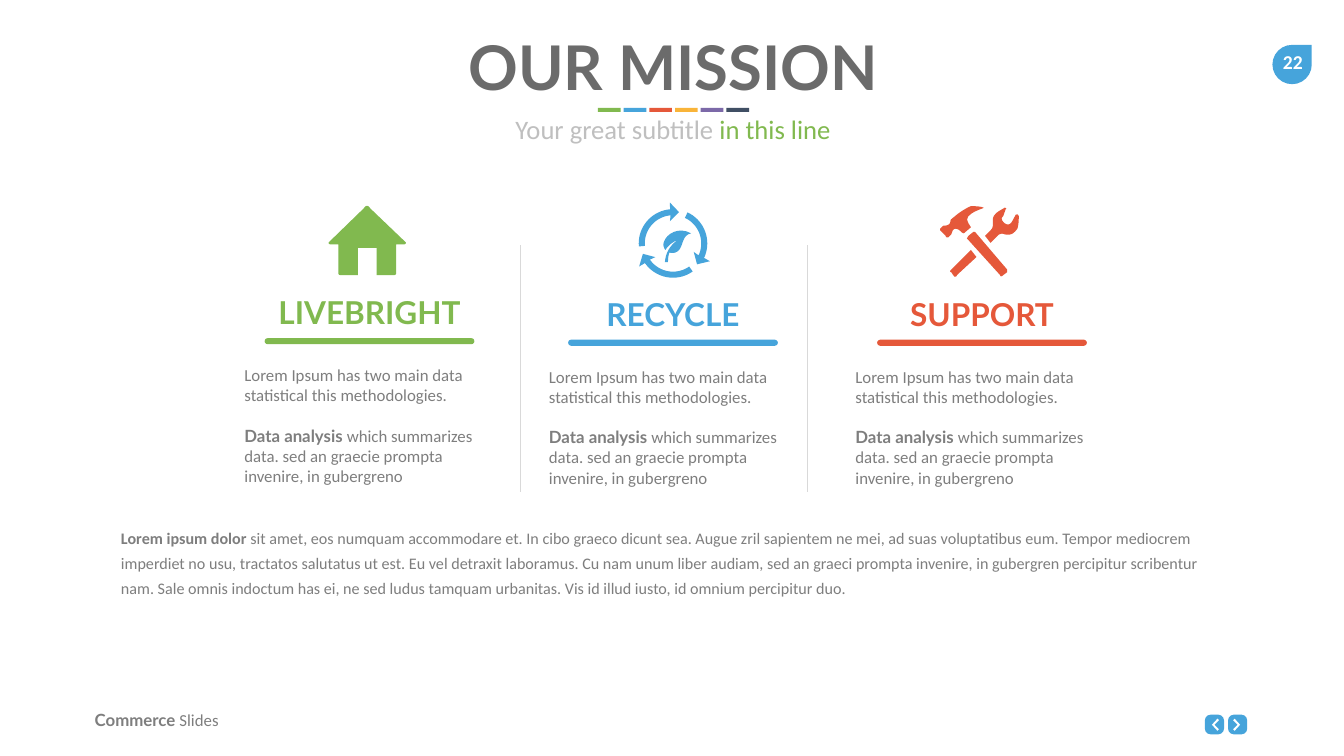
import math
from dataclasses import dataclass

from lxml import etree
from pptx import Presentation
from pptx.dml.color import RGBColor
from pptx.enum import dml, shapes, text
from pptx.oxml import ns
from pptx.util import Inches, Pt


@dataclass(frozen=True)
class Theme:
    green: str = "81B94F"
    blue: str = "46A4DB"
    red: str = "E5583A"
    yellow: str = "F9B439"
    purple: str = "7C69A8"
    navy: str = "404F64"
    white: str = "FFFFFF"
    dark: str = "6B6B6B"
    gray: str = "7E7E7E"
    pale: str = "BFBFBF"
    rule: str = "D9D9D9"
    head: str = "Lato"
    body: str = "Calibri"
    title: int = 88
    topic: int = 45
    sub: int = 38
    page: int = 28
    copy: int = 24
    note: int = 23


T = Theme()
KIND = shapes.MSO_SHAPE
MID = text.PP_ALIGN.CENTER

# An outline is a list of points (x, y) and cubic curves (x1, y1, x2, y2, x, y).
HOUSE = [[(6.53, 4.8), (7.22, 4.13), (7.25, 4.07, 7.31, 4.07, 7.34, 4.13),
          (8.04, 4.8), (8.07, 4.82, 8.04, 4.85, 8.01, 4.85), (7.86, 4.85),
          (7.86, 5.4), (7.86, 5.43, 7.86, 5.46, 7.8, 5.46), (7.47, 5.46),
          (7.47, 4.92), (7.1, 4.92), (7.1, 5.46), (6.77, 5.46),
          (6.71, 5.46, 6.71, 5.43, 6.71, 5.4), (6.71, 4.85), (6.56, 4.85),
          (6.53, 4.85, 6.5, 4.82, 6.53, 4.8)]]
LEAF = [(13.17, 4.8), (13.15, 4.85, 13.16, 4.91, 13.2, 4.96),
        (13.25, 4.87, 13.36, 4.79, 13.43, 4.77),
        (13.28, 4.88, 13.2, 5.03, 13.19, 5.2), (13.25, 5.2),
        (13.25, 5.13, 13.26, 5.05, 13.28, 5.01),
        (13.34, 5.03, 13.4, 5.02, 13.45, 4.98),
        (13.56, 4.89, 13.52, 4.66, 13.71, 4.63),
        (13.46, 4.49, 13.22, 4.64, 13.17, 4.8)]
HAMMER = [(18.9, 4.57), (18.95, 4.51, 19.01, 4.54, 19.09, 4.62), (19.12, 4.63),
          (19.26, 4.51), (19.21, 4.43), (19.06, 4.23, 19.59, 4.12, 19.51, 4.12),
          (19.45, 4.09, 19.29, 4.09, 19.26, 4.09),
          (19.18, 4.12, 19.04, 4.21, 18.98, 4.26), (18.87, 4.35),
          (18.84, 4.37, 18.87, 4.43, 18.81, 4.46),
          (18.76, 4.49, 18.73, 4.46, 18.7, 4.49), (18.65, 4.54), (18.65, 4.57),
          (18.76, 4.68), (18.76, 4.71, 18.78, 4.71, 18.81, 4.71),
          (18.87, 4.65), (18.9, 4.57)]
SHAFT = [(19.31, 4.6), (19.21, 4.68), (19.18, 4.73), (19.84, 5.46),
         (19.84, 5.49, 19.87, 5.49, 19.9, 5.46), (19.98, 5.4), (19.98, 5.35),
         (19.34, 4.6)]
WRENCH = [(20.21, 4.29), (20.18, 4.23, 20.18, 4.26, 20.15, 4.26), (20.09, 4.37),
          (20.06, 4.43, 20.01, 4.49, 19.93, 4.43),
          (19.84, 4.35, 19.87, 4.32, 19.9, 4.29), (19.95, 4.15),
          (19.98, 4.15, 19.95, 4.12, 19.93, 4.12),
          (19.9, 4.15, 19.73, 4.21, 19.7, 4.32),
          (19.68, 4.4, 19.73, 4.49, 19.65, 4.57), (19.54, 4.68), (19.65, 4.82),
          (19.79, 4.68), (19.81, 4.65, 19.87, 4.62, 19.93, 4.65),
          (20.06, 4.68, 20.12, 4.62, 20.18, 4.54),
          (20.21, 4.46, 20.21, 4.32, 20.21, 4.29)]
GRIP = [(18.87, 5.35), (18.84, 5.37, 18.84, 5.4, 18.87, 5.4), (18.93, 5.49),
        (18.95, 5.49, 18.98, 5.49, 18.98, 5.46), (19.37, 5.1), (19.26, 4.96)]


def trace(line, steps=8):
    """Turn an outline with cubic curves into plain points."""
    pts = [line[0]]
    for part in line[1:]:
        if len(part) == 2:
            pts.append(part)
            continue
        ends = [pts[-1], part[:2], part[2:4], part[4:]]
        for i in range(1, steps + 1):
            t = i / steps
            mix = ((1 - t) ** 3, 3 * t * (1 - t) ** 2, 3 * t * t * (1 - t), t ** 3)
            pts.append(tuple(sum(m * e[k] for m, e in zip(mix, ends)) for k in (0, 1)))
    return pts


def ring(cx=13.35, cy=4.83):
    """Three arrows around a centre, each turned 120 degrees from the last."""
    def arc(r, angles):
        return [(r * math.cos(math.radians(a)), r * math.sin(math.radians(a)))
                for a in angles]

    arrow = (arc(0.68, range(175, 266, 5)) + [(-0.06, -0.81), (0.12, -0.62), (-0.06, -0.44)]
             + arc(0.56, range(265, 174, -5)))
    for turn in (0, 120, 240):
        c, s = math.cos(math.radians(turn)), math.sin(math.radians(turn))
        yield [(cx + x * c - y * s, cy + x * s + y * c) for x, y in arrow]


def paint(shape, color):
    shape.shadow.inherit = False
    shape.fill.solid()
    shape.fill.fore_color.rgb = RGBColor.from_string(color)
    shape.line.fill.background()


def block(slide, kind, box, color, round_by=None):
    shape = slide.shapes.add_shape(kind, *map(Inches, box))
    paint(shape, color)
    if round_by is not None:
        shape.adjustments[0] = round_by


def icon(slide, lines, color):
    pen = None
    for line in lines:
        first, *rest = [tuple(map(Inches, p)) for p in trace(line)]
        if pen is None:
            pen = slide.shapes.build_freeform(*first)
        else:
            pen.move_to(*first)
        pen.add_line_segments(rest, close=True)
    paint(pen.convert_to_shape(), color)


def style(font, face, size, color, bold=False):
    font.name, font.size, font.bold = face, Pt(size), bold
    font.color.rgb = RGBColor.from_string(color)


def write(para, runs, size, align=None):
    """Runs are (words, face, color, bold)."""
    para.alignment = align
    for words, *_ in runs:
        para.add_run().text = words
    if len(runs) == 1:
        _, face, color, bold = runs[0]
        style(para.font, face, size, color, bold)
        return
    for run, (_, face, color, bold) in zip(para.runs, runs):
        style(run.font, face, size, color, bold)


def label(slide, box, runs, size, align=None, wrap=True):
    frame = slide.shapes.add_textbox(*map(Inches, box)).text_frame
    frame.word_wrap = wrap
    write(frame.paragraphs[0], runs, size, align)
    return frame


def place(holder, box):
    """Move a placeholder and return its frame, set to start at the top."""
    holder.left, holder.top, holder.width, holder.height = map(Inches, box)
    frame = holder.text_frame
    frame.word_wrap = True
    frame.auto_size = text.MSO_AUTO_SIZE.NONE
    frame.vertical_anchor = text.MSO_ANCHOR.TOP
    return frame


def header(slide):
    frame = place(slide.shapes.title, (1.9, 0.53, 22.9, 1.58))
    write(frame.paragraphs[0], [("OUR MISSION", T.head, T.dark, True)], T.title, MID)
    for i, color in enumerate((T.green, T.blue, T.red, T.yellow, T.purple, T.navy)):
        block(slide, KIND.RECTANGLE, (11.86 + 0.51 * i, 2.14, 0.45, 0.08), color)
    label(slide, (1.9, 2.2, 22.9, 0.74),
          [("Your great subtitle ", T.body, T.pale, False),
           ("in this line", T.body, T.green, False)], T.sub, MID)


def column(slide, name, color, bar, left, top, lines):
    """Icon, heading, bar and copy; bar is the left of the bar, top its top."""
    icon(slide, lines, color)
    label(slide, (bar, top - 0.94, 4.16, 0.86), [(name, T.head, color, True)],
          T.topic, MID, wrap=False)
    block(slide, KIND.ROUNDED_RECTANGLE, (bar, top, 4.16, 0.12), color, 0.5)
    frame = label(slide, (left, top + 0.48, 5, 2.52),
                  [("Lorem Ipsum has two main data statistical this methodologies.",
                    T.body, T.gray, False)], T.copy)
    para = frame.add_paragraph()
    para.space_before = Pt(29)
    write(para, [("Data analysis ", T.head, T.gray, True),
                 ("which summarizes data. sed an graecie prompta invenire, in gubergreno",
                  T.body, T.gray, False)], T.copy)


def divider(slide, x):
    line = slide.shapes.add_connector(shapes.MSO_CONNECTOR.STRAIGHT,
                                      *map(Inches, (x, 4.87, x, 9.75)))
    line.line.color.rgb = RGBColor.from_string(T.rule)
    line.line.width = Pt(0.5)
    line.line.dash_style = dml.MSO_LINE.ROUND_DOT
    etree.SubElement(line._element.spPr, ns.qn("a:effectLst"))


def summary(slide):
    para = place(slide.placeholders[1], (2.3, 10.31, 22.1, 1.59)).paragraphs[0]
    props = para._p.get_or_add_pPr()
    props.set("marL", "0")
    props.set("indent", "0")
    etree.SubElement(props, ns.qn("a:buNone"))
    para.space_before, para.line_spacing = Pt(0), 1.3
    write(para, [
        ("Lorem ipsum dolor ", T.body, T.gray, True),
        ("sit amet, eos numquam accommodare et. In cibo graeco dicunt sea. Augue zril "
         "sapientem ne mei, ad suas voluptatibus eum. Tempor mediocrem imperdiet no usu, "
         "tractatos salutatus ut est. Eu vel detraxit laboramus. Cu nam unum liber audiam, "
         "sed an graeci prompta invenire, in gubergren percipitur scribentur nam. Sale omnis "
         "indoctum has ei, ne sed ludus tamquam urbanitas. Vis id illud iusto, id omnium "
         "percipitur duo.", T.body, T.gray, False)], T.note)


def button(slide, x, way):
    """Round button with a chevron; way is -1 for left and 1 for right."""
    block(slide, KIND.ROUNDED_RECTANGLE, (x - 0.19, 14.18, 0.38, 0.39), T.blue, 0.3)
    tip = [(0.07, 14.38), (-0.04, 14.26), (-0.07, 14.29), (0.02, 14.38),
           (-0.07, 14.47), (-0.04, 14.5)]
    icon(slide, [[(x - 0.02 * way + way * dx, y) for dx, y in tip]], T.white)


def footer(slide):
    label(slide, (1.78, 14.04, 4, 0.5), [("Commerce ", T.head, T.gray, True),
                                         ("Slides", T.body, T.gray, False)], T.copy)
    button(slide, 24.09, -1)
    button(slide, 24.55, 1)
    block(slide, KIND.TEAR, (25.24, 0.89, 0.78, 0.78), T.blue)
    label(slide, (25.21, 0.95, 0.87, 0.57), [("22", T.body, T.white, True)],
          T.page, MID, wrap=False)


def main():
    deck = Presentation()
    deck.slide_width, deck.slide_height = Inches(26.66), Inches(15)
    slide = deck.slides.add_slide(deck.slide_layouts[1])
    header(slide)
    column(slide, "LIVEBRIGHT", T.green, 5.25, 4.75, 6.71, HOUSE)
    column(slide, "RECYCLE", T.blue, 11.27, 10.79, 6.74, [*ring(), LEAF])
    column(slide, "SUPPORT", T.red, 17.4, 16.87, 6.74, [HAMMER, SHAFT, WRENCH, GRIP])
    for x in (10.31, 16.01):
        divider(slide, x)
    summary(slide)
    footer(slide)
    deck.save("out.pptx")


if __name__ == "__main__":
    main()
